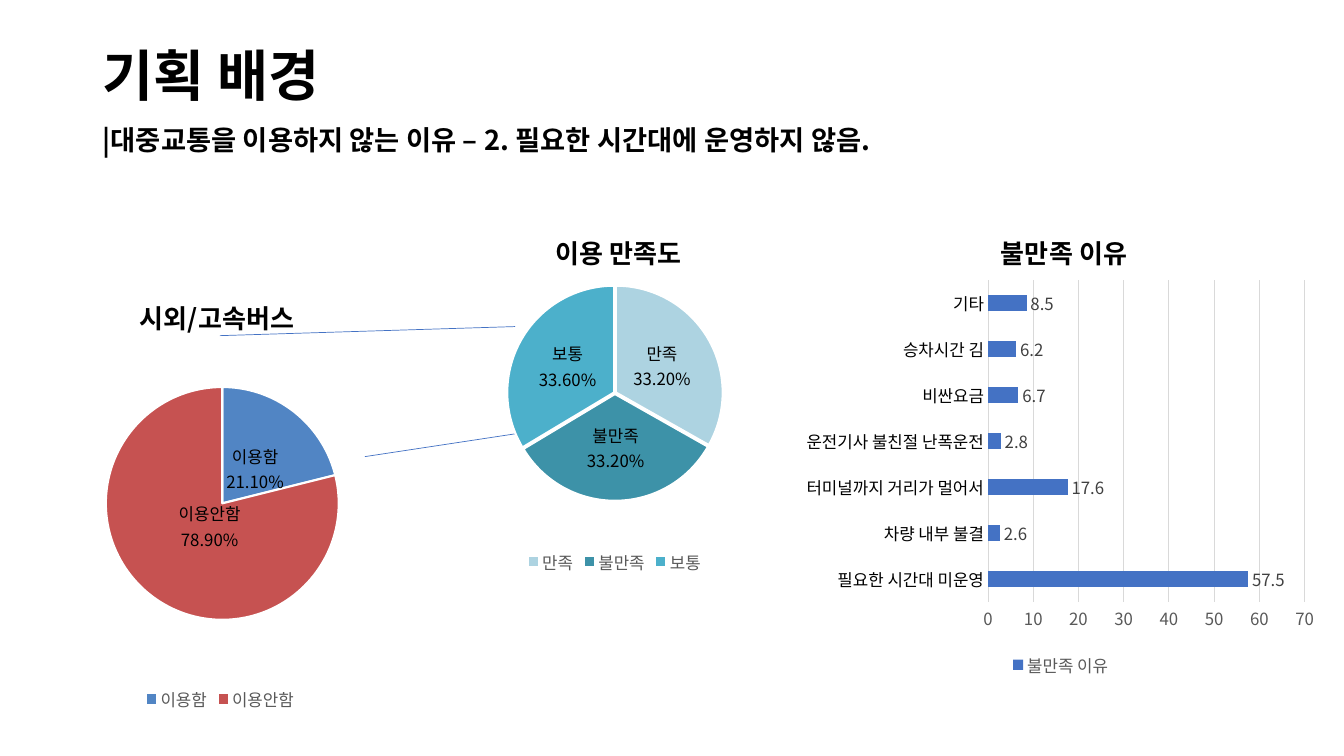
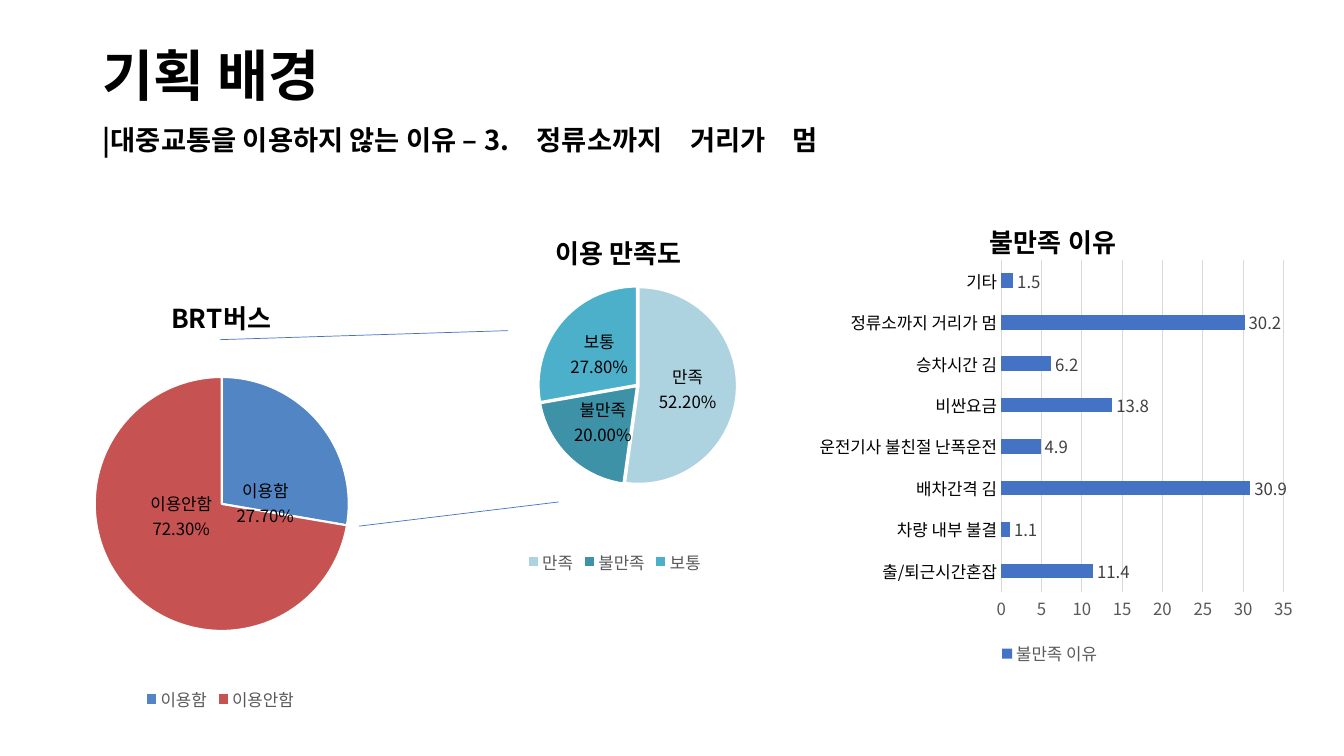
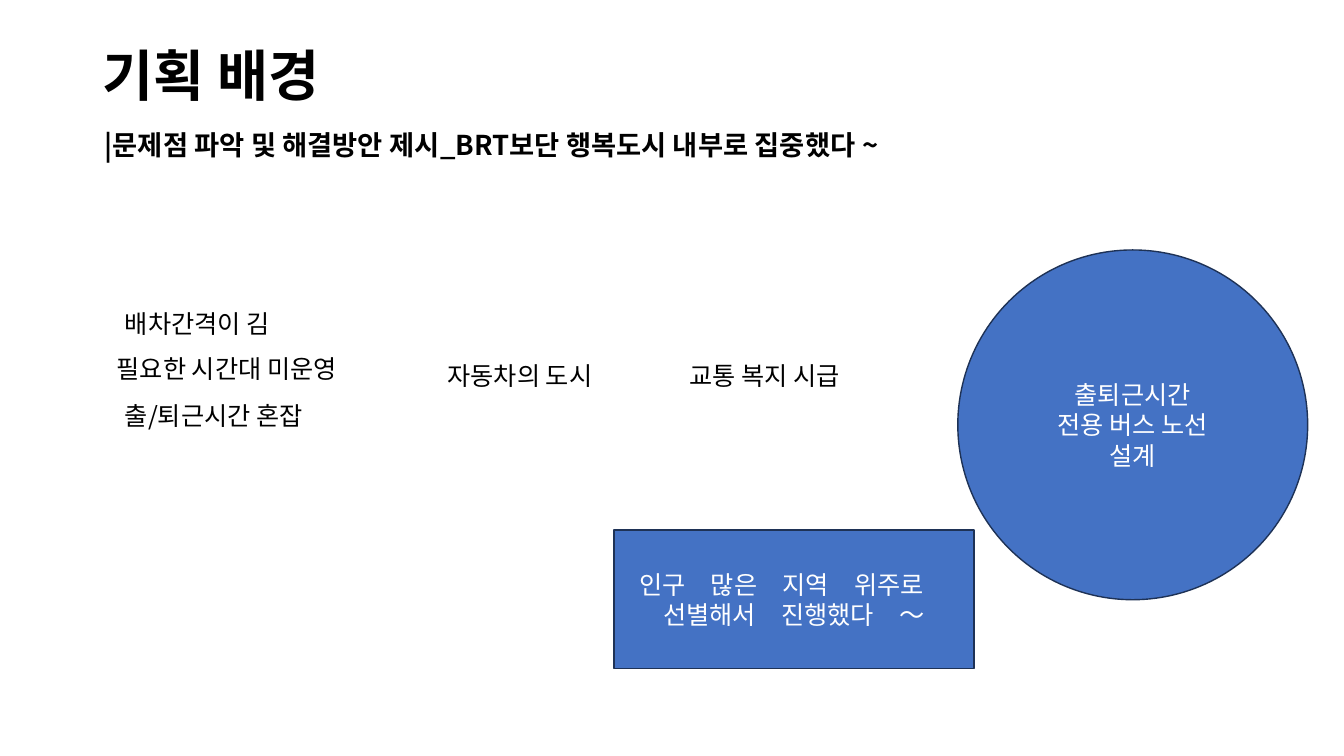
from copy import deepcopy

from lxml.etree import SubElement
from pptx import Presentation
from pptx.chart.data import CategoryChartData
from pptx.dml.color import RGBColor
from pptx.enum.chart import XL_CHART_TYPE, XL_LABEL_POSITION, XL_LEGEND_POSITION, XL_TICK_MARK
from pptx.enum.shapes import MSO_CONNECTOR, MSO_SHAPE
from pptx.enum.text import MSO_ANCHOR, PP_ALIGN
from pptx.oxml import parse_xml
from pptx.oxml.ns import nsdecls, qn
from pptx.util import Inches, Pt

# Shared look
FONT = "Noto Sans CJK KR"
BLACK, WHITE, GREY, DARK_GREY = "000000", "FFFFFF", "595959", "404040"
BLUE, NAVY, GRID = "4472C4", "1E3256", "D9D9D9"
USE_COLORS = ["5185C4", "C65251"]
SATISFACTION_COLORS = ["ADD3E1", "3D92A8", "4CB0CB"]
USE_FRAME = (0.03, 2.69, 4.31, 4.41)
SATISFACTION_FRAME = (2.81, 2.03, 6.57, 3.71)
HEADING = "기획 배경"


def rgb(value):
    return RGBColor.from_string(value)


def inches(values):
    return [Inches(v) for v in values]


def set_attrs(obj, **values):
    for name, value in values.items():
        setattr(obj, name, value)


def style_font(font, size, color=BLACK, bold=False):
    set_attrs(font, size=Pt(size), bold=bold, name=FONT)
    font.color.rgb = rgb(color)
    # East Asian glyphs take their own typeface entry
    latin = font._element.find(qn("a:latin"))
    latin.addnext(parse_xml(f'<a:ea {nsdecls("a")} typeface="{FONT}"/>'))


def style_line(line, color, width):
    line.color.rgb = rgb(color)
    line.width = Pt(width)


# Text and shapes
def fill_text(tf, text, size, color=BLACK, bold=False, **paragraph_format):
    tf.word_wrap = True
    for i, line in enumerate(text.splitlines()):
        p = tf.paragraphs[0] if i == 0 else tf.add_paragraph()
        set_attrs(p, **paragraph_format)
        r = p.add_run()
        r.text = line
        style_font(r.font, size, color, bold)


def add_text(s, box, text, size=18, bold=False, anchor=MSO_ANCHOR.TOP, **paragraph_format):
    tf = s.shapes.add_textbox(*inches(box)).text_frame
    tf.vertical_anchor = anchor
    fill_text(tf, text, size, BLACK, bold, **paragraph_format)


def add_blue_shape(s, kind, box, text):
    sp = s.shapes.add_shape(kind, *inches(box))
    sp.shadow.inherit = False
    sp.fill.solid()
    sp.fill.fore_color.rgb = rgb(BLUE)
    style_line(sp.line, NAVY, 1)
    sp.text_frame.vertical_anchor = MSO_ANCHOR.MIDDLE
    fill_text(sp.text_frame, text, 18, WHITE, alignment=PP_ALIGN.CENTER)


def add_line(s, ends):
    line = s.shapes.add_connector(MSO_CONNECTOR.STRAIGHT, *inches(ends))
    style_line(line.line, BLUE, 0.5)
    SubElement(line._element.spPr, qn("a:effectLst"))


def add_slide(prs, subtitle, left=0.92, top=1.03):
    s = prs.slides.add_slide(prs.slide_layouts[6])
    heading = dict(bold=True, anchor=MSO_ANCHOR.MIDDLE, line_spacing=0.9)
    add_text(s, (0.92, 0.4, 5.52, 0.76), HEADING, 39.6, **heading)
    add_text(s, (left, top, 10.98, 0.76), subtitle, 19.5, **heading)
    return s


# Charts
def set_layout(parent, index, **values):
    """Give a chart part a manual layout as its child at the index."""
    for old in parent.findall(qn("c:layout")):
        parent.remove(old)
    items = "".join(f'<c:{k} val="{v}"/>' for k, v in values.items())
    parent.insert(index, parse_xml(
        f'<c:layout {nsdecls("c")}><c:manualLayout>{items}</c:manualLayout></c:layout>'))


def edge_layout(frame, left, top):
    return dict(xMode="edge", yMode="edge",
                x=round((left - frame[0]) / frame[2], 4),
                y=round((top - frame[1]) / frame[3], 4))


def add_chart(s, kind, frame, plot_box, title, title_at, name, cats, vals, fmt):
    """Place title and plot area by their slide positions in inches."""
    data = CategoryChartData(number_format=fmt)
    data.categories = cats
    data.add_series(name, vals)
    chart = s.shapes.add_chart(kind, *inches(frame), data).chart
    style_font(chart.font, 10)
    # Title
    chart.has_title = True
    fill_text(chart.chart_title.text_frame, title, 18.6, bold=True)
    set_layout(chart.chart_title._element, 1, **edge_layout(frame, *title_at))
    # Plot area
    left, top, width, height = plot_box
    set_layout(chart._chartSpace.chart.plotArea, 0, layoutTarget="inner",
               **edge_layout(frame, left, top),
               w=round(width / frame[2], 4), h=round(height / frame[3], 4))
    # Legend
    chart.has_legend = True
    set_attrs(chart.legend, position=XL_LEGEND_POSITION.BOTTOM, include_in_layout=False)
    style_font(chart.legend.font, 12, GREY)
    return chart


def add_labels(plot, color, **values):
    plot.series[0].data_labels.show_value = True
    labels = plot.series[0].data_labels
    set_attrs(labels, **values)
    style_font(labels.font, 12, color)
    return labels._element


def add_pie(s, frame, pie_box, title, title_at, cats, vals, colors, explosion=0, shifts=()):
    left, top, size = pie_box
    chart = add_chart(s, XL_CHART_TYPE.PIE, frame, (left, top, size, size),
                      title, title_at, "Series 1", cats, vals, "0.00%")
    plot = chart.plots[0]
    plot.vary_by_categories = True
    series = plot.series[0]
    for i, color in enumerate(colors):
        slice_format = series.points[i].format
        slice_format.fill.solid()
        slice_format.fill.fore_color.rgb = rgb(color)
        style_line(slice_format.line, WHITE, 1.5)
    if explosion:
        series._element.find(qn("c:tx")).addnext(
            parse_xml(f'<c:explosion {nsdecls("c")} val="{explosion}"/>'))
    labels = add_labels(plot, BLACK, show_category_name=True, number_format="0.00%",
                        number_format_is_linked=False, position=XL_LABEL_POSITION.CENTER)
    separator = parse_xml(f'<c:separator {nsdecls("c")}>\n</c:separator>')
    last_flag = labels.find(qn("c:showBubbleSize"))
    if last_flag is None:
        last_flag = labels.find(qn("c:showPercent"))
    last_flag.addnext(separator)
    # Labels moved off the slice centre, by inches right and down
    shared = [c for c in labels if c.tag != qn("c:showLeaderLines")]
    for i, (dx, dy) in enumerate(shifts):
        label = parse_xml(f'<c:dLbl {nsdecls("c")}><c:idx val="{i}"/></c:dLbl>')
        set_layout(label, 1, x=round(dx / frame[2], 4), y=round(dy / frame[3], 4))
        for child in shared:
            label.append(deepcopy(child))
        labels.insert(i, label)


def add_reasons(s, frame, plot_box, title_at, reasons, top_value, step):
    name = "불만족 이유"
    chart = add_chart(s, XL_CHART_TYPE.BAR_CLUSTERED, frame, plot_box, name, title_at,
                      name, reasons.keys(), reasons.values(), "General")
    plot = chart.plots[0]
    set_attrs(plot, gap_width=182, vary_by_categories=False)
    bars = plot.series[0].format.fill
    bars.solid()
    bars.fore_color.rgb = rgb(BLUE)
    add_labels(plot, DARK_GREY, position=XL_LABEL_POSITION.OUTSIDE_END)
    # Axes
    no_ticks = dict(major_tick_mark=XL_TICK_MARK.NONE, minor_tick_mark=XL_TICK_MARK.NONE)
    cat, val = chart.category_axis, chart.value_axis
    set_attrs(cat, **no_ticks)
    set_attrs(val, minimum_scale=0, maximum_scale=top_value, major_unit=step,
              has_major_gridlines=True, **no_ticks)
    style_font(cat.tick_labels.font, 12)
    style_font(val.tick_labels.font, 12, GREY)
    style_line(cat.format.line, GRID, 0.75)
    style_line(val.major_gridlines.format.line, GRID, 0.75)
    val.format.line.fill.background()


def add_survey(prs, subtitle, use, satisfaction, lines, reasons):
    """Ridership pie, satisfaction pie and reasons bar chart."""
    s = add_slide(prs, subtitle)
    add_pie(s, USE_FRAME, cats=["이용함", "이용안함"], colors=USE_COLORS, **use)
    for ends in lines:
        add_line(s, ends)
    add_pie(s, SATISFACTION_FRAME, title="이용 만족도", title_at=(5.46, 2.23),
            cats=["만족", "불만족", "보통"], colors=SATISFACTION_COLORS,
            explosion=1, **satisfaction)
    add_reasons(s, **reasons)


def add_solution(prs):
    s = add_slide(prs, "|문제점 파악 및 해결방안 제시_BRT보단 행복도시 내부로 집중했다 ~", 0.94, 1.07)
    for left, top, text in [(1.14, 3.01, "배차간격이 김"),
                            (1.06, 3.46, "필요한 시간대 미운영"),
                            (1.14, 3.92, "출/퇴근시간 혼잡"),
                            (4.34, 3.53, "자동차의 도시"),
                            (6.74, 3.53, "교통 복지 시급")]:
        add_text(s, (left, top, 3.2, 0.4), text)
    add_blue_shape(s, MSO_SHAPE.OVAL, (9.5, 2.48, 3.47, 3.47),
                   """출퇴근시간
전용 버스 노선
설계""")
    add_blue_shape(s, MSO_SHAPE.RECTANGLE, (6.09, 5.26, 3.57, 1.37),
                   "인구　많은　지역　위주로　선별해서　진행했다　～")


def main():
    prs = Presentation()
    set_attrs(prs, slide_width=Inches(13.33), slide_height=Inches(7.5))
    # Intercity and express buses
    add_survey(
        prs, "|대중교통을 이용하지 않는 이유 – 2. 필요한 시간대에 운영하지 않음.",
        use=dict(title="시외/고속버스", title_at=(1.34, 2.88), pie_box=(1.05, 3.84, 2.31),
                 vals=[0.211, 0.789], shifts=[(-0.03, 0.11), (0.23, -0.23)]),
        satisfaction=dict(pie_box=(5.03, 2.83, 2.14), vals=[0.332, 0.332, 0.336]),
        lines=[(2.18, 3.33, 5.11, 3.24), (3.62, 4.53, 5.4, 4.26)],
        reasons=dict(frame=(7.9, 2.01, 5.24, 4.75), plot_box=(9.8, 2.78, 3.14, 3.19),
                     title_at=(9.88, 2.23), top_value=70, step=10,
                     reasons={"필요한 시간대 미운영": 57.5, "차량 내부 불결": 2.6,
                              "터미널까지 거리가 멀어서": 17.6,
                              "운전기사 불친절 난폭운전": 2.8, "비싼요금": 6.7,
                              "승차시간 김": 6.2, "기타": 8.5}))
    # BRT buses
    add_survey(
        prs, "|대중교통을 이용하지 않는 이유 – 3.　정류소까지　거리가　멈",
        use=dict(title="BRT버스", title_at=(1.65, 2.88), pie_box=(0.94, 3.74, 2.52),
                 vals=[0.277, 0.723], shifts=[(-0.05, 0.39), (0.08, -0.29)]),
        satisfaction=dict(pie_box=(5.34, 2.84, 1.97), vals=[0.522, 0.2, 0.278]),
        lines=[(2.18, 3.37, 5.04, 3.28), (3.56, 5.22, 5.54, 4.98)],
        reasons=dict(frame=(7.79, 1.9, 5.24, 4.75), plot_box=(9.93, 2.58, 2.8, 3.29),
                     title_at=(9.77, 2.12), top_value=35, step=5,
                     reasons={"출/퇴근시간혼잡": 11.4, "차량 내부 불결": 1.1,
                              "배차간격 김": 30.9, "운전기사 불친절 난폭운전": 4.9,
                              "비싼요금": 13.8, "승차시간 김": 6.2,
                              "정류소까지 거리가 멈": 30.2, "기타": 1.5}))
    add_solution(prs)
    prs.save("out.pptx")


if __name__ == "__main__":
    main()
